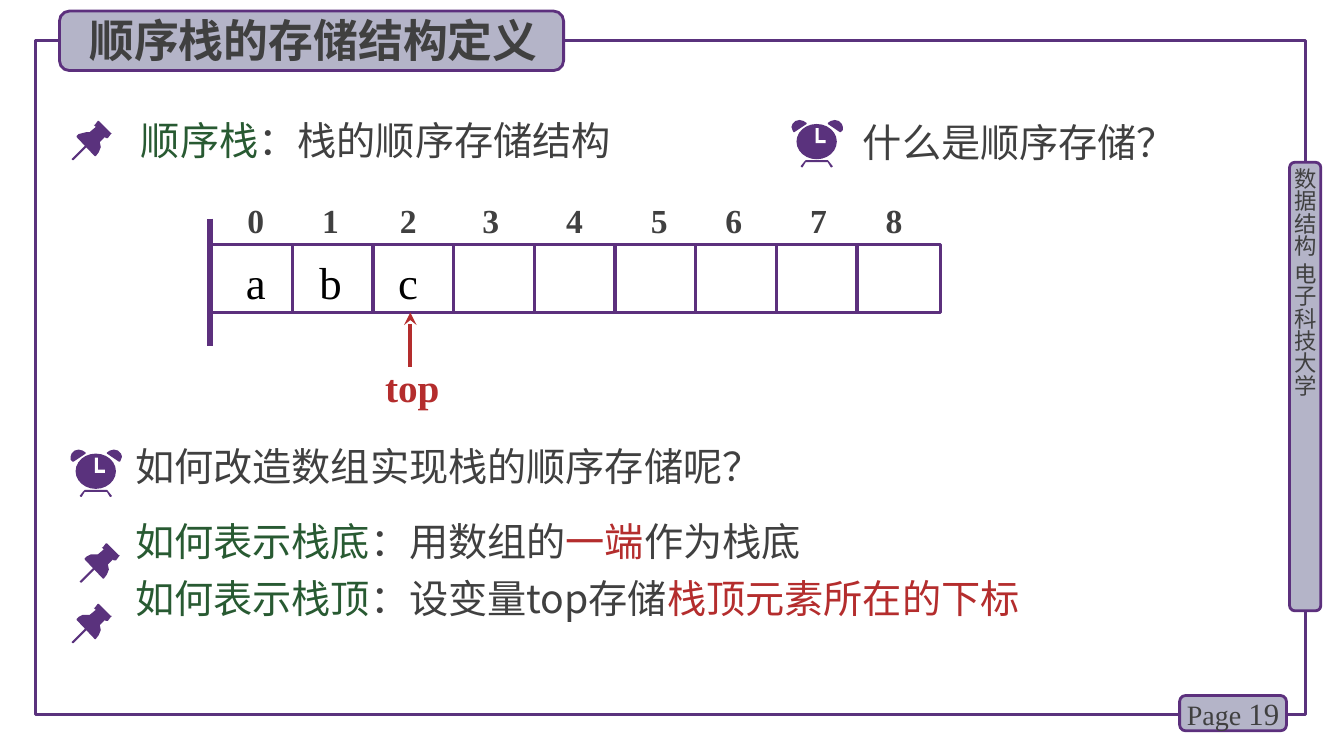
"""Build the slide that defines the storage structure of a sequential stack."""
from lxml.etree import SubElement
from pptx import Presentation
from pptx.dml.color import RGBColor
from pptx.enum.shapes import MSO_CONNECTOR as Line, MSO_SHAPE as Shape
from pptx.enum.text import MSO_ANCHOR as Anchor, MSO_AUTO_SIZE as AutoSize, PP_ALIGN as Align
from pptx.oxml.ns import qn
from pptx.util import Inches, Pt

SANS, SERIF = "Noto Sans CJK SC", "Times New Roman"
PURPLE, OUTLINE, LILAC = "5A327D", "5C307D", "B4B4C8"
GRAY, GREEN, RED, BLACK, WHITE = "404040", "285A32", "B42D2D", "000000", "FFFFFF"

TITLE = "顺序栈的存储结构定义"
DEFINITION = [("顺序栈", GREEN), ("：栈的顺序存储结构", GRAY)]
QUESTION = [("什么是顺序存储？", GRAY)]
BODY = [
    (0, [("如何改造数组实现栈的顺序存储呢？", GRAY)]),
    (20, [("如何表示栈底", GREEN), ("：用数组的", GRAY), ("一端", RED), ("作为栈底", GRAY)]),
    (7, [("如何表示栈顶", GREEN), ("：设变量top存储", GRAY), ("栈顶元素所在的下标", RED)]),
]
SIDEBAR = "数据结构 电子科技大学"
INDICES = [str(index) for index in range(9)]
ELEMENTS = ["a", "b", "c"]
MARK_CENTRES = [2.54, 3.28, 4.05, 4.87, 5.7, 6.54, 7.28, 8.12, 8.87]
CELLS_LEFT, CELLS_TOP, CELLS_WIDTH, CELL_HEIGHT, CELL_PITCH = 2.1, 2.43, 7.23, 0.67, 0.8

PINS = [(0.71, 1.2), (0.79, 5.39), (0.71, 5.99)]
CLOCKS = [(7.85, 1.19), (0.7, 4.46)]
PIN_HEAD = [(39, 12), (27, 0), (26, 0), (23, 4), (22, 4), (24, 6), (18, 11), (15, 11),
            (11, 11.5), (7, 13), (5, 15), (5, 16), (23, 35), (24, 35), (27, 31), (29, 26),
            (28, 21), (33, 16), (34, 17), (36, 17), (39, 13), (40, 12)]
PIN_NEEDLE = [(2, 39), (1, 39), (0, 38), (1, 37), (14, 24), (15, 23), (16, 24), (15.5, 26)]
CLOCK_FEET = [(41, 46), (37, 41), (36, 40), (14, 40), (13, 41), (9, 46), (10, 47),
              (11, 47), (14, 42), (36, 42), (39, 47), (40, 47)]
LEFT_BELL = [(8, 0), (4, 1), (1, 4), (0, 7), (0.5, 10), (2, 12), (3, 12), (15, 4),
             (15, 3), (12, 1)]
RIGHT_BELL = [(51 - x, y) for x, y in LEFT_BELL]
CLOCK_HANDS = [(24, 8), (27, 8), (27, 20), (34, 20), (34, 23), (24, 23)]

deck = Presentation()
deck.slide_width, deck.slide_height = Inches(13.33), Inches(7.5)
page = deck.slides.add_slide(deck.slide_layouts[1])
shapes = page.shapes


def color(value):
    return RGBColor.from_string(value)


def place(item, left, top, width, height):
    item.left, item.top = Inches(left), Inches(top)
    item.width, item.height = Inches(width), Inches(height)


def paint(item, fill=None, line=None, weight=2):
    item.shadow.inherit = False
    if fill:
        item.fill.solid()
        item.fill.fore_color.rgb = color(fill)
    else:
        item.fill.background()
    if line:
        item.line.color.rgb = color(line)
        item.line.width = Pt(weight)
    else:
        item.line.fill.background()


def block(kind, *bounds, **look):
    box = shapes.add_shape(kind, *map(Inches, bounds))
    paint(box, **look)
    return box


def outline(points, left, top, fill):
    spots = [(left * 100 + x, top * 100 + y) for x, y in points]
    builder = shapes.build_freeform(*spots[0], scale=float(Inches(0.01)))
    builder.add_line_segments(spots[1:], close=True)
    paint(builder.convert_to_shape(), fill=fill)


def stroke(x1, y1, x2, y2, tint=OUTLINE, weight=2.25, arrow=False):
    line = shapes.add_connector(Line.STRAIGHT, *map(Inches, (x1, y1, x2, y2)))
    line.line.color.rgb = color(tint)
    line.line.width = Pt(weight)
    if arrow:
        SubElement(line.line._get_or_add_ln(), qn("a:tailEnd"), type="stealth")
    SubElement(line._element.spPr, qn("a:effectLst"))


def write(para, spans, size=28, font=SANS, bold=False, align=Align.LEFT):
    para.alignment = align
    for text, tint in spans:
        span = para.add_run()
        span.text = text
        span.font.size, span.font.bold = Pt(size), bold
        span.font.color.rgb = color(tint)
        span.font.name = font
        SubElement(span._r.get_or_add_rPr(), qn("a:ea"), typeface=font)


def prepare(box, anchor=Anchor.MIDDLE, side=0.1):
    frame = box.text_frame
    frame.word_wrap, frame.auto_size = True, AutoSize.NONE
    frame.vertical_anchor = anchor
    frame.margin_top = frame.margin_bottom = 0
    frame.margin_left = frame.margin_right = Inches(side)
    return frame


def label(bounds, spans, **look):
    para = prepare(shapes.add_textbox(*map(Inches, bounds))).paragraphs[0]
    write(para, spans, **look)
    return para


def marks(bounds, words, tint, **look):
    para = label(bounds, [("".join("\t" + word for word in words), tint)], font=SERIF, **look)
    stops = SubElement(para._p.get_or_add_pPr(), qn("a:tabLst"))
    for centre, _ in zip(MARK_CENTRES, words):
        SubElement(stops, qn("a:tab"), pos=str(Inches(centre - bounds[0] - 0.1)), algn="ctr")


def draw_frame():
    block(Shape.RECTANGLE, 0.35, 0.4, 12.6, 6.69, line=PURPLE, weight=2.25)
    bar = block(Shape.ROUNDED_RECTANGLE, 12.79, 1.61, 0.31, 4.45, fill=LILAC, line=OUTLINE)
    frame = prepare(bar, side=0)
    frame.margin_top = Inches(0.04)
    frame._txBody.bodyPr.set("vert", "eaVert")
    write(frame.paragraphs[0], [(SIDEBAR, GRAY)], size=16)
    badge = block(Shape.ROUNDED_RECTANGLE, 11.7, 6.9, 1.06, 0.35, fill=LILAC, line=OUTLINE)
    para = prepare(badge, side=0).paragraphs[0]
    write(para, [("Page ", GRAY)], size=20, font=SERIF, align=Align.CENTER)
    write(para, [("19", GRAY)], size=22, font=SERIF, align=Align.CENTER)


def draw_text():
    block(Shape.ROUNDED_RECTANGLE, 0.59, 0.11, 5, 0.59, fill=LILAC, line=OUTLINE)
    title = shapes.title
    place(title, 0.7, 0.07, 4.82, 0.64)
    write(prepare(title).paragraphs[0], [(TITLE, GRAY)], size=32, bold=True, align=Align.CENTER)
    shapes._spTree.append(title._element)
    label((1.3, 1.1, 5.92, 0.57), DEFINITION)
    label((8.46, 1.12, 3.79, 0.57), QUESTION)
    body = page.placeholders[1]
    place(body, 1.24, 4.39, 11.3, 2.07)
    frame = prepare(body, Anchor.TOP)
    for number, (gap, spans) in enumerate(BODY):
        para = frame.add_paragraph() if number else frame.paragraphs[0]
        para.space_before = Pt(gap)
        props = para._p.get_or_add_pPr()
        props.set("marL", "0")
        props.set("indent", "0")
        SubElement(props, qn("a:buNone"))
        write(para, spans)


def draw_stack():
    bottom = CELLS_TOP + CELL_HEIGHT
    block(Shape.RECTANGLE, CELLS_LEFT, CELLS_TOP, CELLS_WIDTH, CELL_HEIGHT,
          line=OUTLINE, weight=2.25)
    for number in range(1, len(INDICES)):
        x = CELLS_LEFT + number * CELL_PITCH
        stroke(x, CELLS_TOP, x, bottom)
    stroke(2.08, 2.17, 2.08, 3.43, weight=4.5)
    marks((2.11, 1.93, 7.33, 0.5), INDICES, GRAY, size=24, bold=True)
    marks((2.33, 2.47, 3.81, 0.64), ELEMENTS, BLACK, size=32)
    stroke(4.07, 3.64, 4.07, bottom, tint=RED, weight=3, arrow=True)
    label((3.72, 3.55, 0.79, 0.57), [("top", RED)], font=SERIF, bold=True)


def draw_icons():
    for left, top in PINS:
        for part in (PIN_HEAD, PIN_NEEDLE):
            outline(part, left, top, PURPLE)
    for left, top in CLOCKS:
        for part in (CLOCK_FEET, LEFT_BELL, RIGHT_BELL):
            outline(part, left, top, PURPLE)
        block(Shape.OVAL, left + 0.05, top + 0.04, 0.4, 0.35, fill=PURPLE)
        outline(CLOCK_HANDS, left, top, WHITE)


draw_frame()
draw_text()
draw_stack()
draw_icons()
deck.save("out.pptx")
